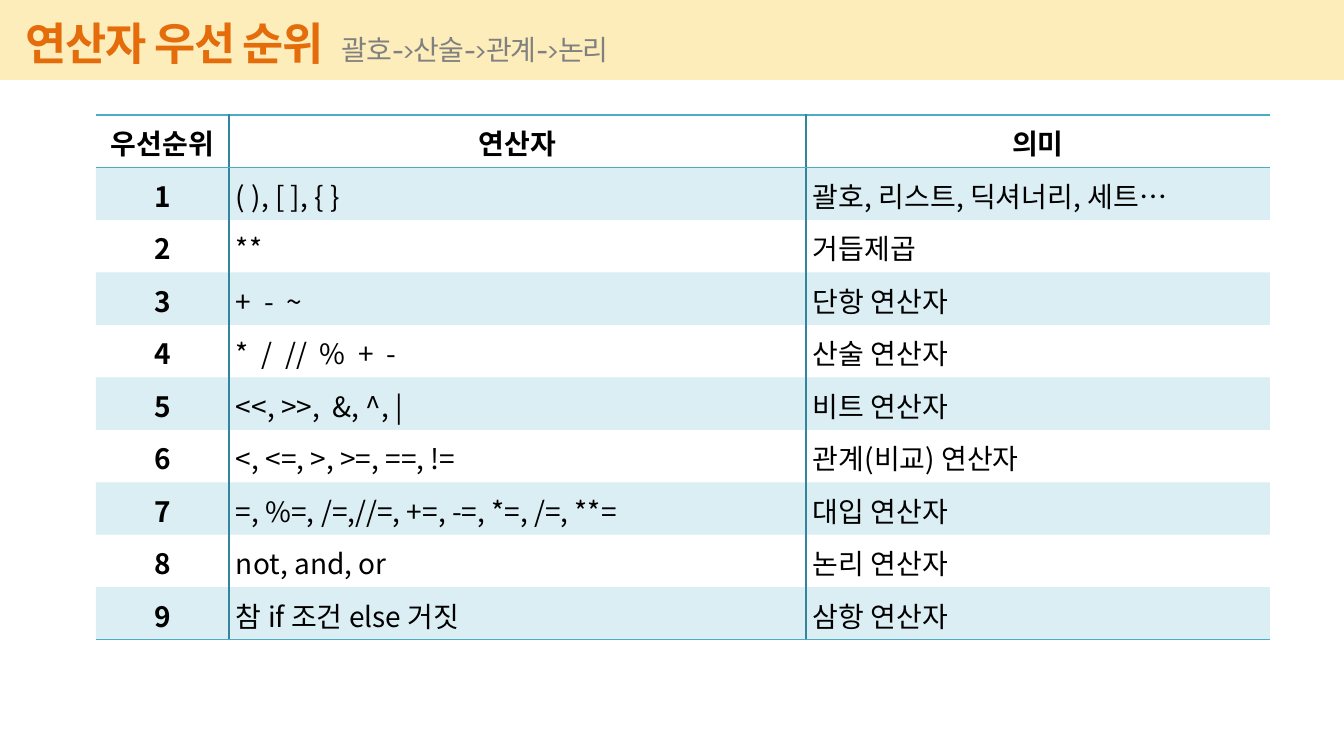
from lxml.etree import SubElement
from pptx import Presentation
from pptx.dml.color import RGBColor
from pptx.enum.shapes import MSO_SHAPE
from pptx.enum.text import MSO_ANCHOR, PP_ALIGN
from pptx.oxml.ns import qn
from pptx.util import Emu, Pt

THEME = {
    "band": "FABE00", "title": "E46C0A", "subtitle": "808080", "text": "000000",
    "rule": "4BACC6", "divider": "31859C", "stripe": "4BACC6",
    "title_font": "Cabin", "table_font": "Noto Sans CJK KR",
    "title_size": 32, "body_size": 20, "rule_width": 1,
}
PX = 914400 / 100.8


def add_run(paragraph, text, color, **formats):
    run = paragraph.add_run()
    run.text = text
    run.font.color.rgb = RGBColor.from_string(THEME[color])
    for name, value in formats.items():
        setattr(run.font, name, value)
    properties = run.font._element
    SubElement(properties, qn("a:ea"), typeface=formats["name"])
    return properties


def fill_translucent(fill, parent, color, percent):
    fill.solid()
    fill.fore_color.rgb = RGBColor.from_string(THEME[color])
    srgb = parent.find(qn("a:solidFill")).find(qn("a:srgbClr"))
    SubElement(srgb, qn("a:alpha"), val=str(percent * 1000))


presentation = Presentation()
presentation.slide_width = Emu(round(1344 * PX))
presentation.slide_height = Emu(round(756 * PX))
slide = presentation.slides.add_slide(presentation.slide_layouts[6])

# Title band
left, top, width, height = [Emu(round(n * PX)) for n in (0, 0, 1344, 80)]
band = slide.shapes.add_shape(MSO_SHAPE.RECTANGLE, left, top, width, height)
band.shadow.inherit = False
band.line.fill.background()
fill_translucent(band.fill, band._element.spPr, "band", 27)

# Title and subtitle
left, top, width, height = [Emu(round(n * PX)) for n in (16, 6, 1144, 74)]
title = slide.shapes.add_textbox(left, top, width, height)
title.text_frame.word_wrap = True
title.text_frame.vertical_anchor = MSO_ANCHOR.MIDDLE
paragraph = title.text_frame.paragraphs[0]
for text, color, size, bold in (
    ("연산자 우선 순위  ", "title", THEME["title_size"], True),
    ("괄호->산술->관계->논리", "subtitle", THEME["body_size"], False),
):
    properties = add_run(paragraph, text, color, size=Pt(size), bold=bold,
                         name=THEME["title_font"])
    properties.set("spc", "-100")

# Operator precedence table
header = ("우선순위", "연산자", "의미")
operators = [
    ("( ), [ ], { }", "괄호, 리스트, 딕셔너리, 세트…"),
    ("**", "거듭제곱"),
    ("+  -  ~", "단항 연산자"),
    ("*  /  //  %  +  -", "산술 연산자"),
    ("<<, >>,  &, ^, |", "비트 연산자"),
    ("<, <=, >, >=, ==, !=", "관계(비교) 연산자"),
    ("=, %=, /=,//=, +=, -=, *=, /=, **=", "대입 연산자"),
    ("not, and, or", "논리 연산자"),
    ("참 if 조건 else 거짓", "삼항 연산자"),
]
rows = [header] + [(str(rank), *pair) for rank, pair in enumerate(operators, 1)]
last_row, last_column = len(rows) - 1, len(header) - 1

left, top, width, height = [Emu(round(n * PX)) for n in (96, 115, 1174, 525)]
table = slide.shapes.add_table(len(rows), len(header), left, top, width, height).table
table.first_row = table.horz_banding = False
for column, column_width in zip(table.columns, (133, 577, 464)):
    column.width = Emu(round(column_width * PX))

cell_format = {
    "vertical_anchor": MSO_ANCHOR.MIDDLE,
    "margin_left": Emu(round(7 * PX)), "margin_right": Emu(round(7 * PX)),
    "margin_top": 0, "margin_bottom": 0,
}
for r, row in enumerate(rows):
    for c, text in enumerate(row):
        cell = table.cell(r, c)
        for name, value in cell_format.items():
            setattr(cell, name, value)
        emphasized = r == 0 or c == 0
        paragraph = cell.text_frame.paragraphs[0]
        paragraph.alignment = PP_ALIGN.CENTER if emphasized else PP_ALIGN.JUSTIFY
        paragraph.line_spacing = 1.07
        add_run(paragraph, text, "text", size=Pt(THEME["body_size"]),
                bold=emphasized, name=THEME["table_font"])

        # Dividers between columns, rules around the header and at the foot
        cell_properties = cell._tc.get_or_add_tcPr()
        for side, color, visible in (
            ("L", "divider", c > 0),
            ("R", "divider", c < last_column),
            ("T", "rule", r in (0, 1)),
            ("B", "rule", r in (0, last_row)),
        ):
            line = SubElement(cell_properties, qn(f"a:ln{side}"),
                              w=str(Pt(THEME["rule_width"])))
            if visible:
                solid = SubElement(line, qn("a:solidFill"))
                SubElement(solid, qn("a:srgbClr"), val=THEME[color])
            else:
                SubElement(line, qn("a:noFill"))

        # Stripes on odd rows
        if r % 2:
            fill_translucent(cell.fill, cell_properties, "stripe", 20)
        else:
            cell.fill.background()

presentation.save("out.pptx")
